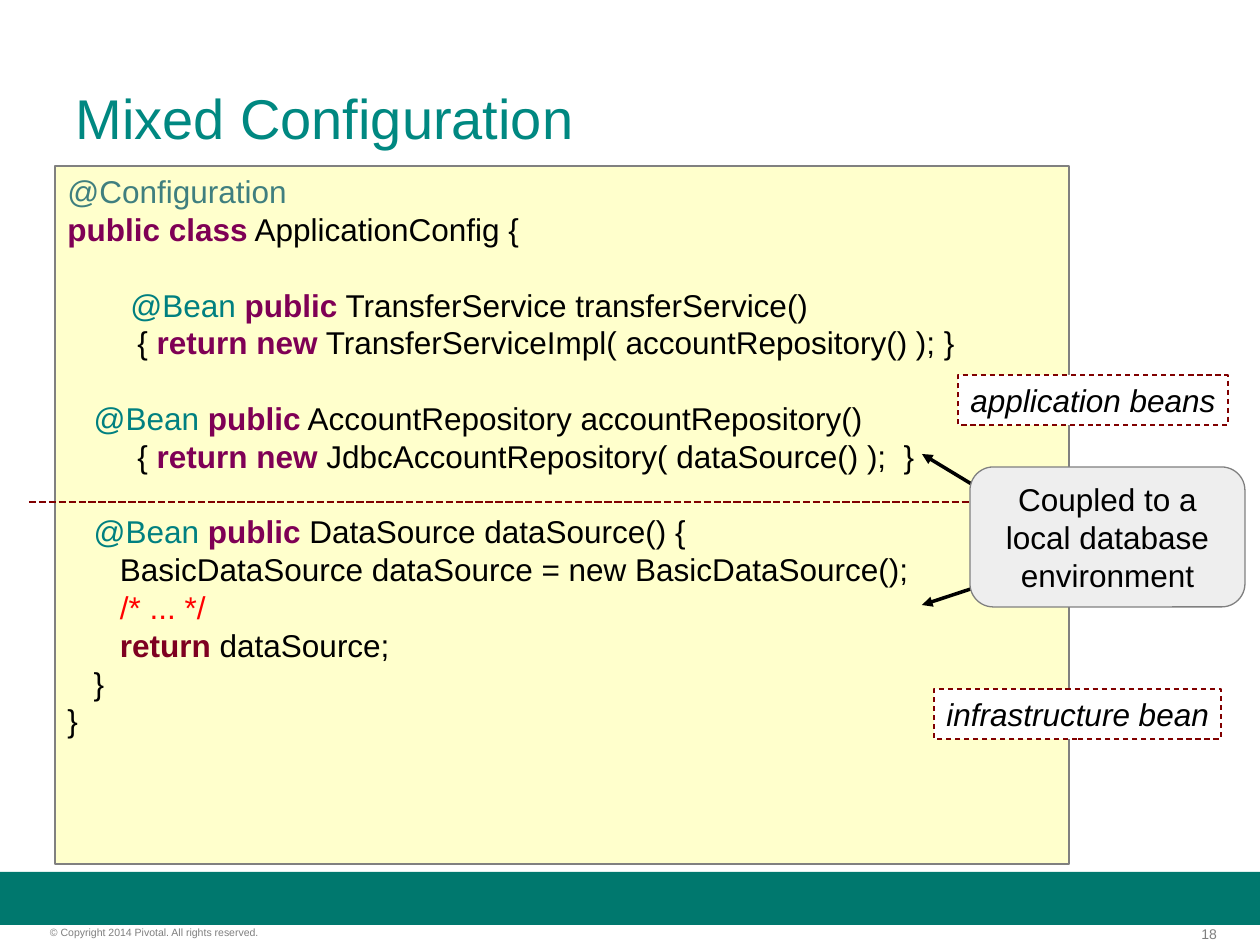
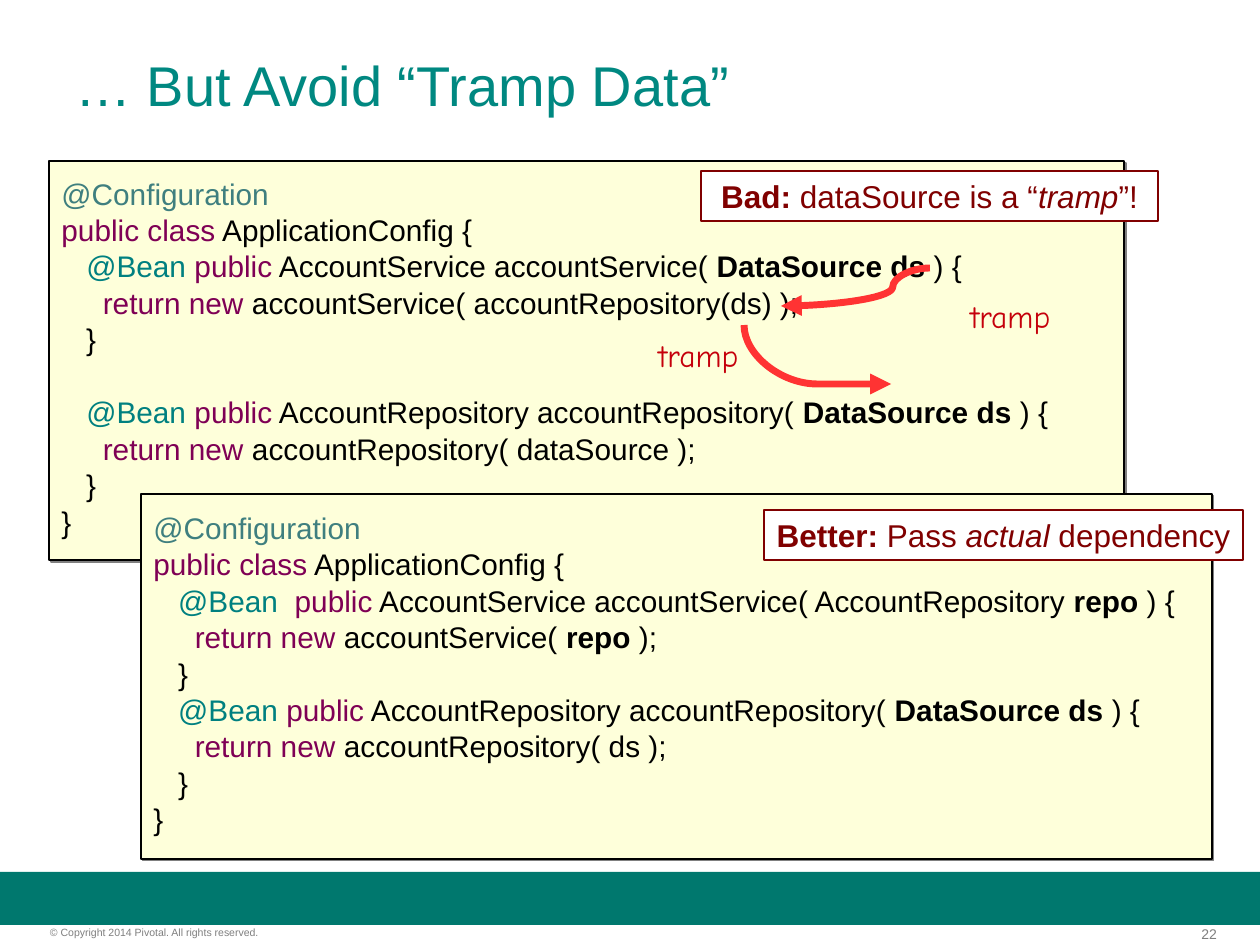
from dataclasses import dataclass

from lxml import etree
from pptx import Presentation
from pptx.dml.color import RGBColor
from pptx.enum.dml import MSO_LINE
from pptx.enum.shapes import MSO_CONNECTOR, MSO_SHAPE
from pptx.enum.text import MSO_ANCHOR, PP_ALIGN
from pptx.oxml.ns import qn
from pptx.util import Emu, Pt

RECT, ROUNDED = MSO_SHAPE.RECTANGLE, MSO_SHAPE.ROUNDED_RECTANGLE
STRAIGHT, CURVE = MSO_CONNECTOR.STRAIGHT, MSO_CONNECTOR.CURVE
TOP, MIDDLE = MSO_ANCHOR.TOP, MSO_ANCHOR.MIDDLE
LEFT, CENTER, RIGHT = PP_ALIGN.LEFT, PP_ALIGN.CENTER, PP_ALIGN.RIGHT
DASH, DOTS = MSO_LINE.DASH, MSO_LINE.SQUARE_DOT
PX = 914400 / 126
PAGE_W, PAGE_H = 1260, 945


@dataclass(frozen=True)
class Theme:
    font: str = "Arial"
    hand_font: str = "Comic Neue"
    title_size: float = 32
    body_size: float = 18
    code_size: float = 17
    number_size: float = 8
    copyright_size: float = 6
    white: str = "FFFFFF"
    black: str = "000000"
    band: str = "00786E"
    title: str = "008881"
    muted: str = "7F7F7F"
    gray: str = "808080"
    callout: str = "EEEEEE"
    code_fill: str = "FFFFCC"
    panel_fill: str = "FEFFDA"
    maroon: str = "800000"
    arrow: str = "FF3333"
    hand: str = "C5000B"
    annotation: str = "3F7F7F"
    bean: str = "008080"
    keyword: str = "7F0055"
    returning: str = "7E0021"
    comment: str = "FF0000"


T = Theme()

# Run styles: colour (None keeps the paragraph's), bold, italic
STYLES = {
    "annotation": (T.annotation, False, False),
    "bean": (T.bean, False, False),
    "keyword": (T.keyword, False, False),
    "strong_keyword": (T.keyword, True, False),
    "strong_return": (T.returning, True, False),
    "comment": (T.comment, False, False),
    "bold": (None, True, False),
    "italic": (None, False, True),
}

CONFIGURATION = [("@Configuration", "annotation")]
BEAN = ("@Bean ", "bean")
STRONG_PUBLIC = ("public", "strong_keyword")
STRONG_RETURN_NEW = ("return new", "strong_keyword")
PUBLIC = ("public", "keyword")
RETURN_NEW = ("return new", "keyword")
DATA_SOURCE = ("DataSource ds ", "bold")
CLASS_NAME = " ApplicationConfig {"
CLASS_LINE = [("public class", "keyword"), CLASS_NAME]
REPOSITORY_LINE = ["   ", BEAN, PUBLIC, " AccountRepository accountRepository( ",
                   DATA_SOURCE, ") {"]

# A line of None is an empty line of code
MIXED_CODE = [
    CONFIGURATION,
    [("public class", "strong_keyword"), CLASS_NAME],
    None,
    ["\t", BEAN, STRONG_PUBLIC, " TransferService transferService()"],
    ["        { ", STRONG_RETURN_NEW, " TransferServiceImpl( accountRepository() ); }"],
    None,
    ["   ", BEAN, STRONG_PUBLIC, " AccountRepository accountRepository()"],
    ["        { ", STRONG_RETURN_NEW, " JdbcAccountRepository( dataSource() );  }"],
    None,
    ["   ", BEAN, STRONG_PUBLIC, " DataSource dataSource() {"],
    ["      BasicDataSource dataSource = new BasicDataSource();"],
    ["      ", ("/* ... */", "comment")],
    ["      ", ("return", "strong_return"), " dataSource;"],
    ["   }"],
    ["}"],
]
BAD_CODE = [
    CONFIGURATION,
    CLASS_LINE,
    ["   ", BEAN, PUBLIC, " AccountService accountService( ", DATA_SOURCE, ") {"],
    ["     ", RETURN_NEW, " accountService( accountRepository(ds) );"],
    ["   }"],
    None,
    REPOSITORY_LINE,
    ["     ", RETURN_NEW, " accountRepository( dataSource );"],
    ["   }"],
    ["}"],
]
BETTER_CODE = [
    CONFIGURATION,
    CLASS_LINE,
    ["   ", ("@Bean  ", "bean"), PUBLIC, " AccountService accountService( AccountRepository",
     (" repo ", "bold"), ") {"],
    ["     ", RETURN_NEW, " accountService( ", ("repo", "bold"), " );"],
    ["   }"],
    REPOSITORY_LINE,
    ["     ", RETURN_NEW, " accountRepository( ds );"],
    ["   }"],
    ["}"],
]


def px(n):
    return Emu(round(n * PX))


def rgb(value):
    return RGBColor.from_string(value)


# Basic parts
def write(sp, lines, size, color=T.black, font=T.font, align=LEFT, anchor=TOP,
          wrap=True, insets=(0.1, 0.05), spacing=None, before=0, gap=0):
    """Fill a shape with lines of runs; a run is a string or (text, style)."""
    tf = sp.text_frame
    tf.word_wrap, tf.vertical_anchor = wrap, anchor
    tf.margin_left = tf.margin_right = Emu(int(insets[0] * 914400))
    tf.margin_top = tf.margin_bottom = Emu(int(insets[1] * 914400))
    p, extra = None, 0
    for line in lines:
        if line is None:
            extra = gap
            continue
        first = p is None
        p = tf.paragraphs[0] if first else tf.add_paragraph()
        p.alignment = align
        p.space_before = Pt(0 if first else before + extra)
        extra = 0
        if spacing:
            p.line_spacing = spacing
        p.font.name, p.font.size = font, Pt(size)
        p.font.color.rgb = rgb(color)
        for part in line:
            text, style = (part, None) if isinstance(part, str) else part
            r = p.add_run()
            r.text = text
            if style:
                run_color, bold, italic = STYLES[style]
                if run_color:
                    r.font.color.rgb = rgb(run_color)
                if bold:
                    r.font.bold = True
                if italic:
                    r.font.italic = True


def add_box(slide, box, fill, line=None, width=0, kind=RECT, dash=None):
    sp = slide.shapes.add_shape(kind, *map(px, box))
    sp.shadow.inherit = False
    sp.fill.solid()
    sp.fill.fore_color.rgb = rgb(fill)
    if line is None:
        sp.line.fill.background()
    else:
        sp.line.color.rgb = rgb(line)
        sp.line.width = Pt(width)
        if dash:
            sp.line.dash_style = dash
    return sp


def add_text(slide, box, text, size, color, **options):
    sp = slide.shapes.add_textbox(*map(px, box))
    write(sp, [[text]], size, color, **options)


def add_line(slide, start, end, color, width=0, kind=STRAIGHT, dash=None, arrow=True):
    cx = slide.shapes.add_connector(kind, *map(px, start + end))
    cx.line.color.rgb = rgb(color)
    cx.line.width = Pt(width)
    if dash:
        cx.line.dash_style = dash
    if arrow:
        etree.SubElement(cx.line._get_or_add_ln(), qn("a:tailEnd"), type="triangle")
    etree.SubElement(cx._element.spPr, qn("a:effectLst"))
    return cx


def add_curve(slide, start, end, bend, turn=0):
    """Curved arrow whose bend lies at a share of its width, turned in degrees."""
    cx = add_line(slide, start, end, T.arrow, 3.97, CURVE)
    sp_pr = cx._element.spPr
    sp_pr.find(qn("a:xfrm")).set("rot", str(turn * 60000))
    guides = sp_pr.find(qn("a:prstGeom")).find(qn("a:avLst"))
    etree.SubElement(guides, qn("a:gd"), name="adj1", fmla=f"val {round(bend * 100000)}")


# Shared frame
def add_footer(slide, box, number):
    x, y, w, h = box
    add_box(slide, (x, y, w, 53), T.band)
    add_text(slide, (x + 1127, y + 54, 90, 16), number, T.number_size, T.muted,
             align=RIGHT, insets=(0, 0))
    add_text(slide, (x + 50, y + 54, 314, 13),
             "© Copyright 2014 Pivotal. All rights reserved.",
             T.copyright_size, T.muted, insets=(0, 0))


def add_frame(prs, title, title_top, number):
    slide = prs.slides.add_slide(prs.slide_layouts[6])
    add_footer(slide, (0, 872, PAGE_W, 73), number)
    add_text(slide, (63, title_top, 1134, 158), title, T.title_size, T.title, anchor=MIDDLE)
    return slide


# Mixed configuration: one listing split into application and infrastructure
def add_mixed_listing(slide, box):
    x, y, w, h = box
    listing = add_box(slide, box, T.code_fill, T.gray)
    write(listing, MIXED_CODE, T.body_size, gap=21.6)
    for dx, dy, width, label in ((903, 209, 270, "application beans"),
                                 (879, 523, 287, "infrastructure bean")):
        sp = add_box(slide, (x + dx, y + dy, width, 50), T.white, T.maroon, dash=DASH)
        write(sp, [[(label, "italic")]], T.body_size, wrap=False)
    add_line(slide, (x - 26, y + 336), (x + 1094, y + 336), T.maroon, 1.42,
             dash=DOTS, arrow=False)
    add_line(slide, (x + 928, y + 325), (x + 867, y + 288), T.black)
    add_line(slide, (x + 943, y + 414), (x + 867, y + 439), T.black)
    callout = add_box(slide, (x + 915, y + 301, 275, 140), T.callout, T.gray, kind=ROUNDED)
    write(callout, [["Coupled to a local database environment"]], T.body_size,
          align=CENTER, anchor=MIDDLE)


# Tramp data: shadowed panels, each with a verdict
def add_panel(slide, box, code):
    sp = add_box(slide, box, T.panel_fill, T.black, 1)
    effects = sp._element.spPr.find(qn("a:effectLst"))
    shadow = etree.SubElement(effects, qn("a:outerShdw"), dist="17780", dir="2700000")
    etree.SubElement(shadow, qn("a:srgbClr"), val=T.gray)
    write(sp, code, T.code_size, anchor=MIDDLE, spacing=0.8, before=4.5, gap=20.8)


def add_verdict(slide, box, runs):
    sp = add_box(slide, box, T.white, T.maroon)
    write(sp, [runs], T.body_size, T.maroon, align=CENTER, anchor=MIDDLE, wrap=False)


def add_bad_panel(slide, box):
    x, y, w, h = box
    add_panel(slide, box, BAD_CODE)
    add_verdict(slide, (x + 652, y + 10, 457, 50),
                [("Bad:", "bold"), " dataSource is a “", ("tramp", "italic"), "”!"])
    add_curve(slide, (x + 798, y + 120), (x + 739, y + 267), 1, turn=270)
    add_curve(slide, (x + 881, y + 107), (x + 732, y + 145), 0.25)
    for dx, dy in ((909, 130), (597, 169)):
        add_text(slide, (x + dx, y + dy, 112, 50), "tramp", T.body_size, T.hand,
                 font=T.hand_font, wrap=False)


def add_better_panel(slide, box):
    x, y, w, h = box
    add_panel(slide, box, BETTER_CODE)
    add_verdict(slide, (x + 623, y + 16, 479, 50),
                [("Better:", "bold"), " Pass ", ("actual", "italic"), " dependency"])


def main():
    prs = Presentation()
    prs.slide_width, prs.slide_height = px(PAGE_W), px(PAGE_H)

    slide = add_frame(prs, "Mixed Configuration", 38, "18")
    add_mixed_listing(slide, (55, 166, 1014, 698))

    slide = add_frame(prs, "… But Avoid “Tramp Data”", 5, "22")
    add_bad_panel(slide, (49, 161, 1075, 399))
    add_better_panel(slide, (141, 494, 1071, 365))

    prs.save("out.pptx")


if __name__ == "__main__":
    main()
